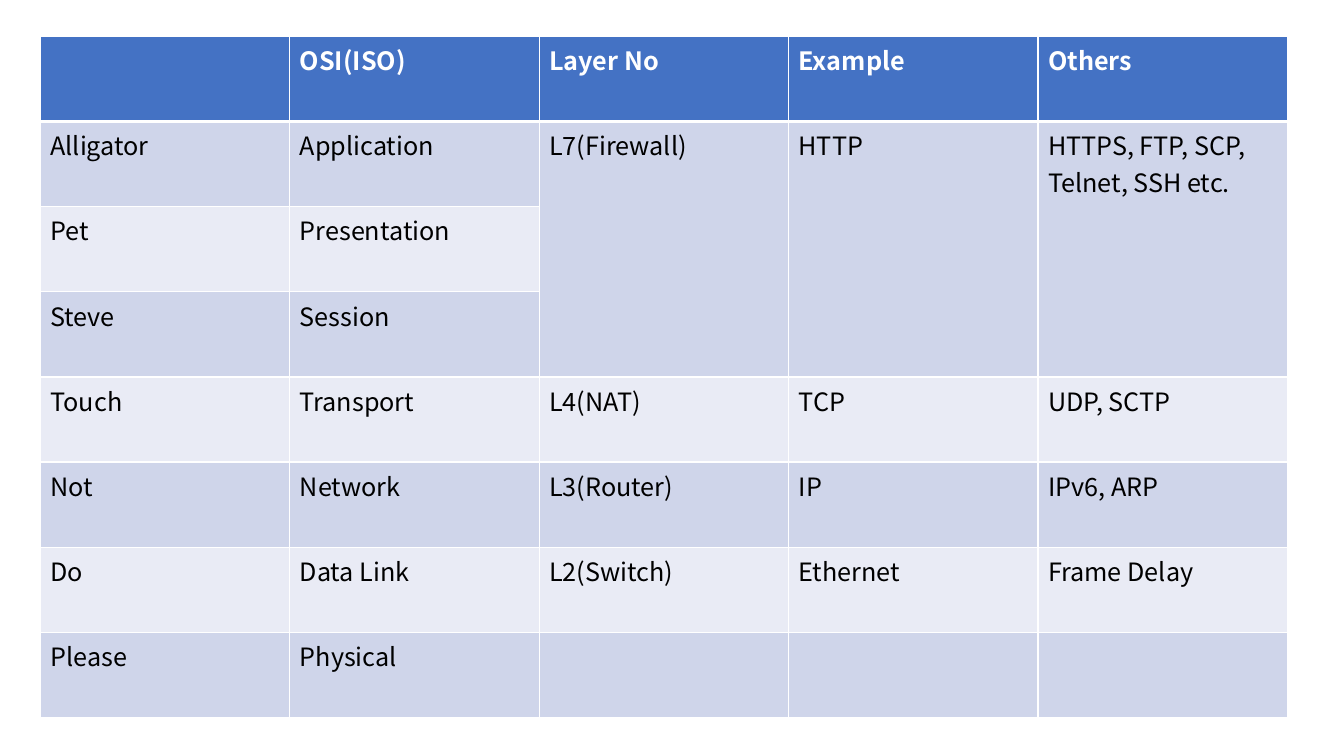
"""Build a slide with a table of the OSI layers and their mnemonic."""
from lxml import etree
from pptx import Presentation
from pptx.dml.color import RGBColor
from pptx.oxml.ns import qn
from pptx.util import Inches, Pt

FONT = "Noto Sans CJK KR"
COLORS = {"header": "4472C4", "odd": "CFD5EA", "even": "E9EBF5",
          "line": "FFFFFF", "header_text": "FFFFFF", "text": "000000"}
ROWS = [
    ("", "OSI(ISO)", "Layer No", "Example", "Others"),
    ("Alligator", "Application", "L7(Firewall)", "HTTP",
     "HTTPS, FTP, SCP, Telnet, SSH etc."),
    ("Pet", "Presentation", "", "", ""),
    ("Steve", "Session", "", "", ""),
    ("Touch", "Transport", "L4(NAT)", "TCP", "UDP, SCTP"),
    ("Not", "Network", "L3(Router)", "IP", "IPv6, ARP"),
    ("Do", "Data Link", "L2(Switch)", "Ethernet", "Frame Delay"),
    ("Please", "Physical", "", "", ""),
]
MERGED_ROWS = (1, 3)
MERGED_COLS = (2, 3, 4)
LEFT, TOP, WIDTH, HEIGHT = 0.4, 0.36, 12.37, 6.76


def add_borders(cell, widths):
    """Draw the cell borders, given as points per side."""
    tc_pr = cell._tc.get_or_add_tcPr()
    for side, width in widths.items():
        ln = etree.SubElement(tc_pr, qn(f"a:ln{side}"), w=str(Pt(width)))
        fill = etree.SubElement(ln, qn("a:solidFill"))
        etree.SubElement(fill, qn("a:srgbClr"), val=COLORS["line"])


def format_cell(cell, text, row):
    """Fill one cell and write its text."""
    header = row == 0
    add_borders(cell, {"L": 1, "R": 1, "T": 3 if row == 1 else 1,
                       "B": 3 if header else 1})
    cell.fill.solid()
    band = "header" if header else "odd" if row % 2 else "even"
    cell.fill.fore_color.rgb = RGBColor.from_string(COLORS[band])
    if text:
        r = cell.text_frame.paragraphs[0].add_run()
        r.text = text
        r.font.name = FONT
        r.font.size = Pt(18)
        r.font.bold = header
        color = COLORS["header_text" if header else "text"]
        r.font.color.rgb = RGBColor.from_string(color)


prs = Presentation()
prs.slide_width, prs.slide_height = Inches(13.33), Inches(7.5)
slide = prs.slides.add_slide(prs.slide_layouts[6])
table = slide.shapes.add_table(
    len(ROWS), len(ROWS[0]), Inches(LEFT), Inches(TOP),
    Inches(WIDTH), Inches(HEIGHT)).table

for row, texts in enumerate(ROWS):
    for col, text in enumerate(texts):
        format_cell(table.cell(row, col), text, row)

first, last = MERGED_ROWS
for col in MERGED_COLS:
    table.cell(first, col).merge(table.cell(last, col))

prs.save("out.pptx")
